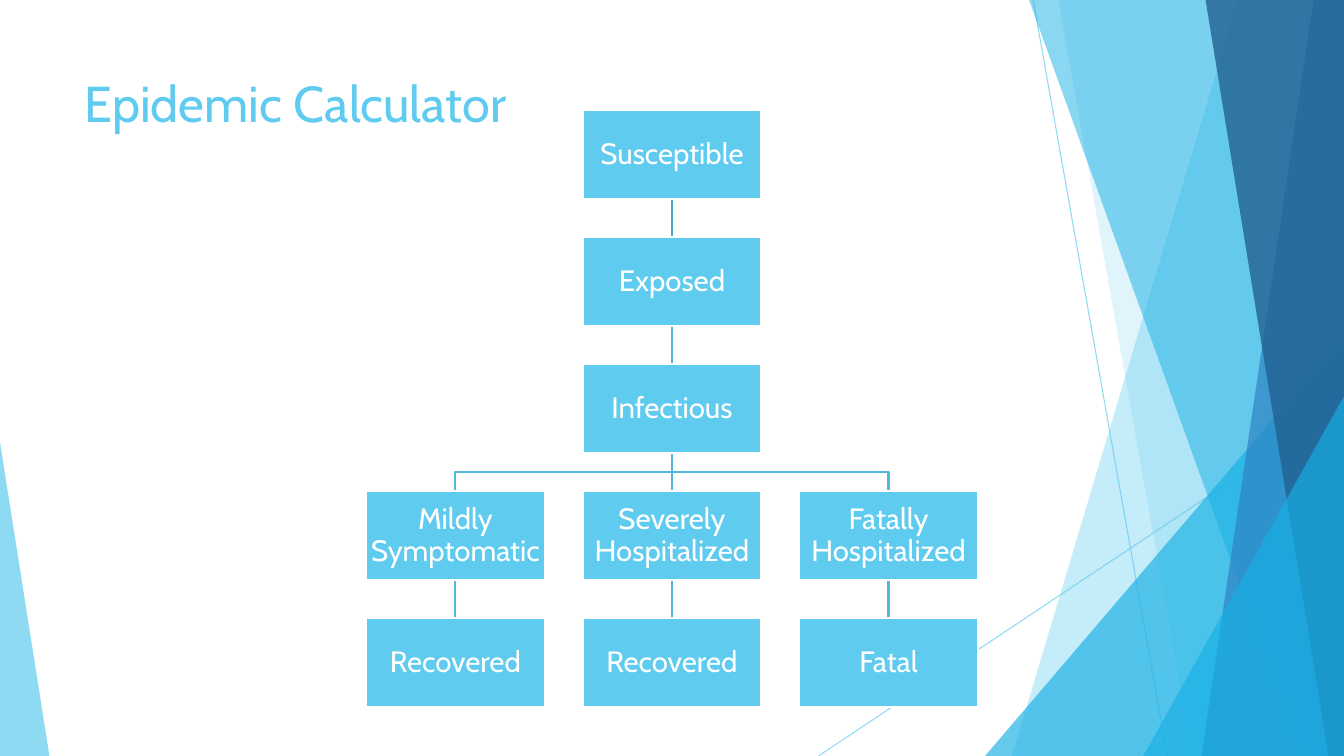
import dataclasses

import pptx
import pptx.dml.color
import pptx.enum.shapes
import pptx.enum.text
import pptx.oxml.ns
import pptx.oxml.xmlchemy
import pptx.util
from lxml import etree

Pt = pptx.util.Pt
qn = pptx.oxml.ns.qn
RGB = pptx.dml.color.RGBColor.from_string
SHAPE = pptx.enum.shapes.MSO_SHAPE


@dataclasses.dataclass
class Theme:
    font: str = "Cabin"
    title_size: int = 36
    label_size: int = 21
    sky: str = "5FCBEF"
    azure: str = "17B0E4"
    blue: str = "2E83C3"
    navy: str = "226292"
    white: str = "FFFFFF"
    link: str = "56B8D9"
    first_link: str = "4CA3BF"


theme = Theme()


def fade(shape, opacity):
    for colour in shape._element.spPr.iter(qn("a:srgbClr")):
        etree.SubElement(colour, qn("a:alpha")).set("val", str(opacity * 1000))


def add_text(para, text, size, colour):
    span = para.add_run()
    span.text = text
    span.font.name = theme.font
    span.font.size = Pt(size)
    span.font.color.rgb = RGB(colour)


deck = pptx.Presentation()
deck.slide_width, deck.slide_height = Pt(960), Pt(540)
page = deck.slides.add_slide(deck.slide_layouts[5])
STRAIGHT = pptx.enum.shapes.MSO_CONNECTOR.STRAIGHT

# Thin rays behind the facets
for x1, y1, x2, y2 in [(738, 0, 833.8, 540), (960, 290, 584.6, 540)]:
    ray = page.shapes.add_connector(STRAIGHT, Pt(x1), Pt(y1), Pt(x2), Pt(y2))
    ray.line.color.rgb = RGB(theme.sky)
    ray.line.width = Pt(0.75)
    fade(ray, 70)
    etree.SubElement(ray._element.spPr, qn("a:effectLst"))

# Facets: bands give their left edge at top and bottom,
# triangles give left, top, width and peak position
facets = [
    (theme.sky, 36, (884.2, 722.9)),
    (theme.sky, 20, (756, 851.8)),
    (theme.azure, 66, (703.6, 240, 256.4, 1)),
    (theme.azure, 50, (735.1, 929.5)),
    (theme.blue, 70, (938.2, 858.2)),
    (theme.navy, 80, (861.1, 949)),
    (theme.azure, 66, (816.6, 283, 143.4, 1)),
    (theme.sky, 70, (0, 316, 35.3, 0)),
]
for colour, opacity, outline in facets:
    if len(outline) == 2:
        top_x, bottom_x = outline
        builder = page.shapes.build_freeform(Pt(top_x), 0)
        builder.add_line_segments(
            [(Pt(960), 0), (Pt(960), Pt(540)), (Pt(bottom_x), Pt(540))], close=True)
        facet = builder.convert_to_shape()
    else:
        left, top, width, peak = outline
        facet = page.shapes.add_shape(
            SHAPE.ISOSCELES_TRIANGLE, Pt(left), Pt(top), Pt(width), Pt(540 - top))
        facet.adjustments[0] = peak
    facet.shadow.inherit = False
    facet.fill.solid()
    facet.fill.fore_color.rgb = RGB(colour)
    facet.line.fill.background()
    fade(facet, opacity)

# Title
title = page.shapes.title
title.left, title.top, title.width, title.height = Pt(53.3), Pt(48), Pt(676.8), Pt(104)
title.text_frame.vertical_anchor = pptx.enum.text.MSO_ANCHOR.TOP
title.text_frame.auto_size = pptx.enum.text.MSO_AUTO_SIZE.NONE
para = title.text_frame.paragraphs[0]
para.alignment = pptx.enum.text.PP_ALIGN.LEFT
add_text(para, "Epidemic Calculator", theme.title_size, theme.sky)

# Stage boxes on a grid of columns (-1, 0, 1) and rows
BOX_WIDTH, BOX_HEIGHT = 127.5, 63.8
COLUMN_STEP, ROW_STEP = 154.7, 90.7
MIDDLE, FIRST_TOP = 480, 78.6
stages = {
    (0, 0): "Susceptible",
    (0, 1): "Exposed",
    (0, 2): "Infectious",
    (-1, 3): "Mildly Symptomatic",
    (-1, 4): "Recovered",
    (0, 3): "Severely Hospitalized",
    (0, 4): "Recovered",
    (1, 3): "Fatally Hospitalized",
    (1, 4): "Fatal",
}
boxes = {}
for (column, row), label in stages.items():
    box = page.shapes.add_shape(
        SHAPE.RECTANGLE,
        Pt(MIDDLE + column * COLUMN_STEP - BOX_WIDTH / 2), Pt(FIRST_TOP + row * ROW_STEP),
        Pt(BOX_WIDTH), Pt(BOX_HEIGHT))
    box.shadow.inherit = False
    box.fill.solid()
    box.fill.fore_color.rgb = RGB(theme.sky)
    box.line.color.rgb = RGB(theme.white)
    box.line.width = Pt(1.5)
    frame = box.text_frame
    frame.word_wrap = True
    frame.vertical_anchor = pptx.enum.text.MSO_ANCHOR.MIDDLE
    frame.margin_left = frame.margin_right = frame.margin_top = frame.margin_bottom = Pt(1)
    para = frame.paragraphs[0]
    para.alignment = pptx.enum.text.PP_ALIGN.CENTER
    para.line_spacing = 0.9
    add_text(para, label, theme.label_size, theme.white)
    boxes[column, row] = box

# Links: straight down a column, or branching from Infectious; kept behind the boxes
root = boxes[0, 2]
for (column, row), box in boxes.items():
    if row == 0:
        continue
    if (column, row - 1) in boxes:
        link = page.shapes.add_connector(STRAIGHT, 0, 0, 0, 0)
        link.begin_connect(boxes[column, row - 1], 2)
        link.end_connect(box, 0)
        etree.SubElement(link._element.spPr, qn("a:effectLst"))
    else:
        start_x, start_y = root.left + root.width // 2, root.top + root.height
        end_x, half_y = box.left + box.width // 2, (start_y + box.top) // 2
        builder = page.shapes.build_freeform(start_x, start_y)
        builder.add_line_segments(
            [(start_x, half_y), (end_x, half_y), (end_x, box.top)], close=False)
        link = builder.convert_to_shape()
        link.shadow.inherit = False
        link.fill.background()
    link.line.color.rgb = RGB(theme.first_link if row == 1 else theme.link)
    link.line.width = Pt(1.5)
    boxes[0, 0]._element.addprevious(link._element)

deck.save("out.pptx")
